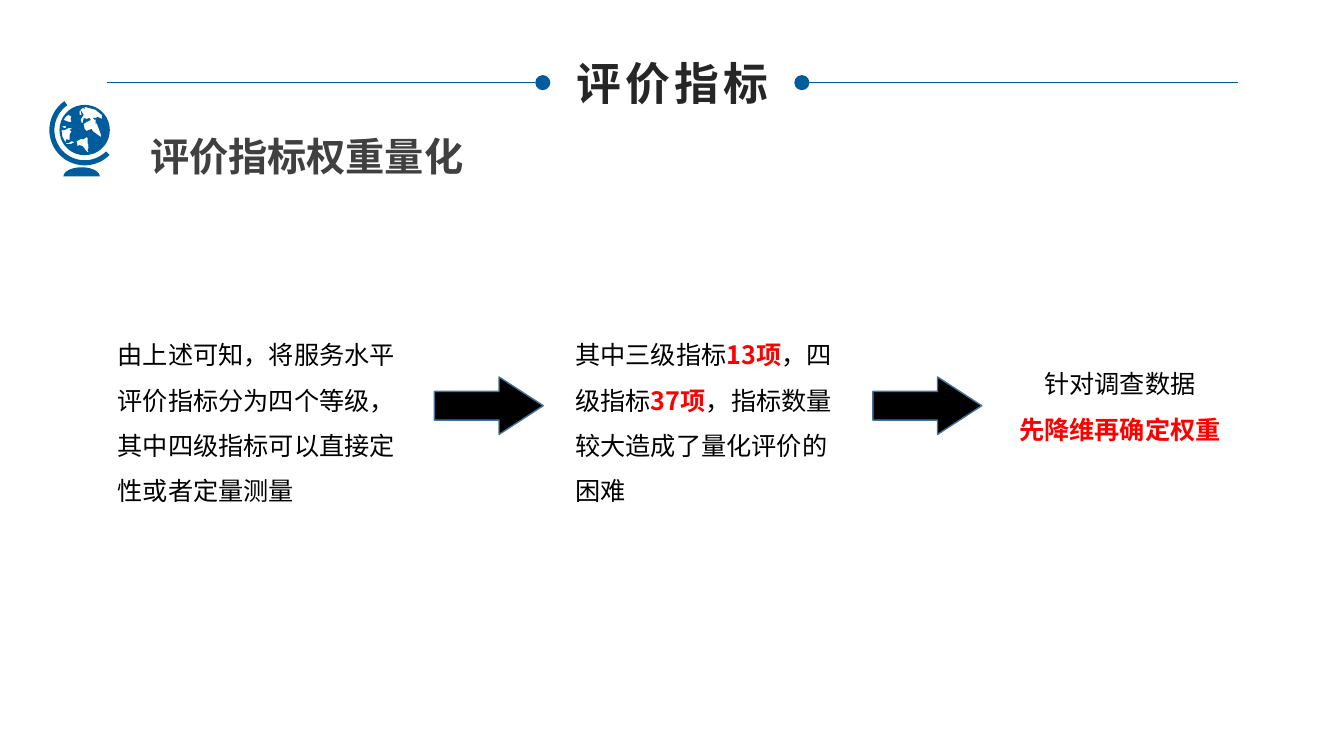
import math
from dataclasses import dataclass

import lxml.etree
import pptx
import pptx.dml.color
import pptx.enum.shapes
import pptx.enum.text
import pptx.oxml.ns
import pptx.util

SHAPE = pptx.enum.shapes.MSO_SHAPE
ALIGN = pptx.enum.text.PP_ALIGN
CELL = pptx.util.Inches(40 / 3) / 160


@dataclass(frozen=True)
class Theme:
    face: str = "Noto Sans CJK SC"
    blue: str = "005D9D"
    head: str = "262626"
    sub: str = "404040"
    ink: str = "000000"
    red: str = "FF0000"
    edge: str = "43739E"
    head_size: float = 32
    sub_size: float = 28
    body_size: float = 18


THEME = Theme()

LANDS = [
    [(79, 114), (81, 114), (80, 109), (83, 114), (81, 117), (80, 119), (81, 122),
     (82, 122), (83, 118), (83, 117), (86, 118), (89, 117), (90, 119), (86, 121),
     (83, 123), (84, 128), (86, 130), (88, 129), (91, 128), (92, 130), (100, 136),
     (100, 133), (96, 122), (95, 123), (95, 118), (94, 119), (92, 117), (95, 117),
     (97, 116), (99, 117), (101, 118), (101, 114), (95, 109), (84, 106), (84, 108),
     (82, 107), (79, 110)],
    [(76, 140), (77, 145), (79, 144), (82, 145), (85, 149), (87, 151), (88, 151),
     (87, 149), (88, 146), (87, 145), (88, 144), (87, 142), (87, 137), (86, 136),
     (83, 138), (80, 138)],
    [(69, 129), (72, 127), (68, 127), (64, 129), (61, 129), (62, 136), (66, 143),
     (70, 143), (74, 141), (71, 140), (68, 142), (66, 142), (65, 141), (66, 138),
     (69, 139), (69, 134), (71, 130)],
    [(66, 115), (63, 119), (66, 120), (68, 121), (71, 121), (70, 118), (71, 116),
     (70, 115), (68, 114)],
    [(61, 126), (62, 126), (64, 127), (65, 127), (66, 125), (63, 125)],
]


def tint(hue):
    return pptx.dml.color.RGBColor.from_string(hue)


def span(count):
    return pptx.util.Emu(round(count * CELL))


def place(left, top, width, height):
    return [span(count) for count in (left, top, width, height)]


def paint(shape, fill, edge=None):
    shape.shadow.inherit = False
    shape.fill.solid()
    shape.fill.fore_color.rgb = tint(fill)
    if edge:
        shape.line.color.rgb = tint(edge)
        shape.line.width = pptx.util.Pt(1)
    else:
        shape.line.fill.background()


def style(para, size, hue, bold=False, gap=None):
    font = para.font
    font.size = pptx.util.Pt(size)
    font.bold = bold
    font.color.rgb = tint(hue)
    font.name = THEME.face
    props = para._p.pPr.find(pptx.oxml.ns.qn("a:defRPr"))
    east = lxml.etree.SubElement(props, pptx.oxml.ns.qn("a:ea"))
    east.set("typeface", THEME.face)
    if gap:
        props.set("spc", str(gap * 100))


def add_text(slide, box, lines, size, hue=THEME.ink, bold=False, lead=None, align=None):
    frame = slide.shapes.add_textbox(*place(*box)).text_frame
    frame.word_wrap = True
    for index, line in enumerate(lines):
        para = frame.add_paragraph() if index else frame.paragraphs[0]
        para.alignment = align
        para.line_spacing = lead
        style(para, size, hue, bold)
        for words, strong in line:
            run = para.add_run()
            run.text = words
            if strong:
                run.font.bold = True
                run.font.color.rgb = tint(THEME.red)


def add_title(slide):
    title = slide.shapes.title
    title.left, title.top, title.width, title.height = place(67.08, 6, 26.04, 7.68)
    frame = title.text_frame
    frame.text = "评价指标"
    frame.word_wrap = False
    frame.auto_size = pptx.enum.text.MSO_AUTO_SIZE.NONE
    frame.vertical_anchor = pptx.enum.text.MSO_ANCHOR.MIDDLE
    para = frame.paragraphs[0]
    para.alignment = ALIGN.CENTER
    style(para, THEME.head_size, THEME.head, True, 3)


def add_rule(slide, side):
    mid, row, size = 80.04, 9.84, 1.8
    rule = slide.shapes.add_connector(
        pptx.enum.shapes.MSO_CONNECTOR.STRAIGHT,
        span(mid + side * 67.32), span(row), span(mid + side * 16.32), span(row))
    rule.line.color.rgb = tint(THEME.blue)
    rule.line.width = pptx.util.Pt(0.25)
    lxml.etree.SubElement(rule._element.spPr, pptx.oxml.ns.qn("a:effectLst"))
    dot = slide.shapes.add_shape(SHAPE.OVAL, *place(
        mid + side * 15.42 - size / 2, row - size / 2, size, size))
    paint(dot, THEME.blue)


def trace(mid, wide, tall, start, stop, steps=36):
    turns = [math.radians(start + (stop - start) * step / steps) for step in range(steps + 1)]
    return [(mid[0] + wide * math.cos(turn), mid[1] + tall * math.sin(turn)) for turn in turns]


def add_globe(slide):
    mid = (84, 129)
    ring = trace(mid, 35, 35, 45, 235) + trace(mid, 30, 30, 235, 45)
    base = trace((81, 175), 18, 9, 180, 360)
    loops = [trace(mid, 25, 25, 0, 360)] + LANDS + [ring, base]
    fine = [[(across * 10, down * 10) for across, down in loop] for loop in loops]
    pen = slide.shapes.build_freeform(*fine[0][0], scale=CELL * 0.012)
    for index, loop in enumerate(fine):
        if index:
            pen.move_to(*loop[0])
        pen.add_line_segments(loop[1:], close=True)
    paint(pen.convert_to_shape(), THEME.blue)


def add_arrow(slide, left, width):
    arrow = slide.shapes.add_shape(SHAPE.RIGHT_ARROW, *place(left, 44.88, width, 6.84))
    arrow.adjustments[0] = 0.5
    arrow.adjustments[1] = 0.77
    paint(arrow, THEME.ink, THEME.edge)


def add_flow(slide):
    steps = [
        (38.04, 36.24, 27.84, None, [
            [("由上述可知，将服务水平评价指标分为四个等级，其中四级指标可以直接定性或者定量测量", False)]]),
        (38.04, 33.96, 22.44, None, [
            [("其中三级指标", False), ("13项", True), ("，四级指标", False),
             ("37项", True), ("，指标数量较大造成了量化评价的困难", False)]]),
        (41.52, 27.6, 11.52, ALIGN.CENTER, [
            [("针对调查数据", False)], [("先降维再确定权重", True)]]),
    ]
    left, gap, reach = 12.84, 2.64, 12.96
    for index, (top, width, height, align, lines) in enumerate(steps):
        if index:
            add_arrow(slide, left, reach)
            left += reach + gap
        add_text(slide, (left, top, width, height), lines, THEME.body_size,
                 lead=1.5, align=align)
        left += width + gap


def main():
    deck = pptx.Presentation()
    deck.slide_width, deck.slide_height = span(160), span(90)
    slide = deck.slides.add_slide(deck.slide_layouts[5])
    add_title(slide)
    for side in (-1, 1):
        add_rule(slide, side)
    add_globe(slide)
    add_text(slide, (16.68, 15.12, 57.48, 6.84), [[("评价指标权重量化", False)]],
             THEME.sub_size, THEME.sub, True)
    add_flow(slide)
    deck.save("out.pptx")


if __name__ == "__main__":
    main()
